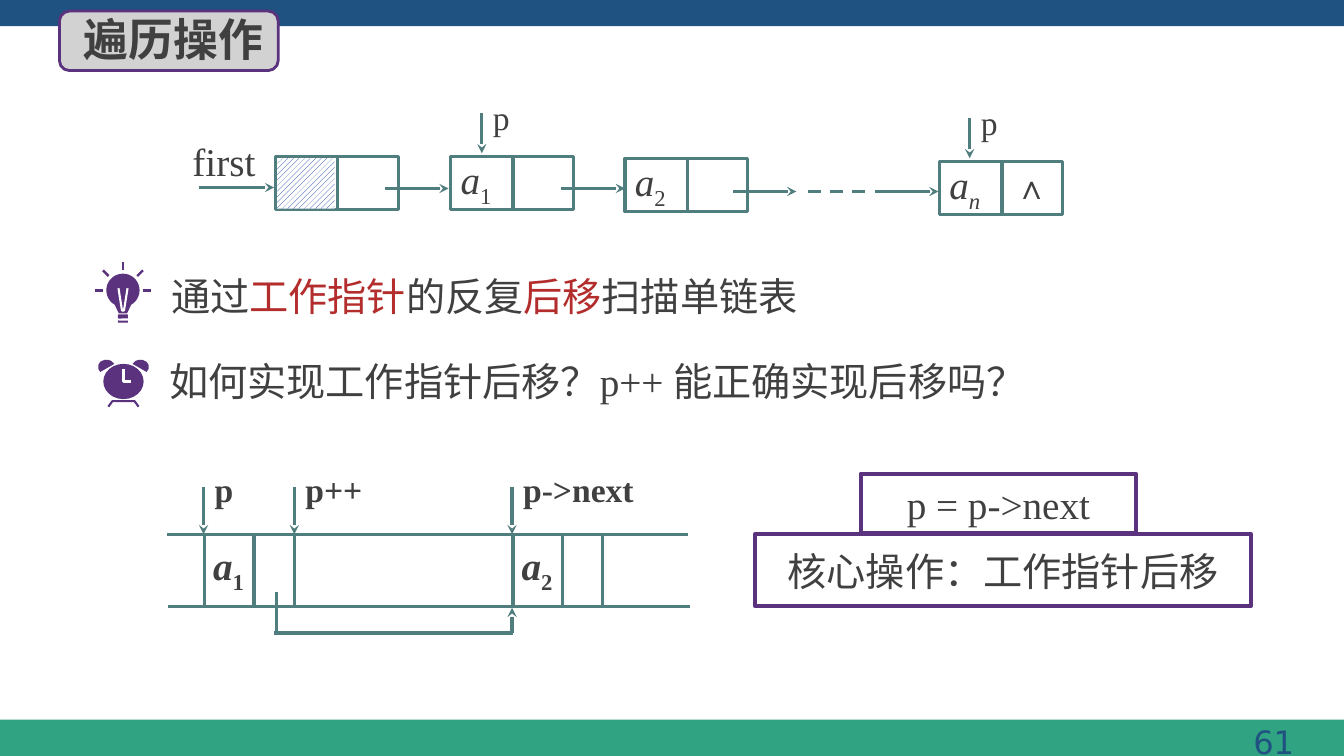
import math
import lxml.etree
import pptx
import pptx.util
import pptx.dml.color
import pptx.enum.dml
import pptx.enum.shapes
import pptx.enum.text
import pptx.oxml.ns

COLORS = {
    "header": "1F5281", "footer": "30A383", "ink": "404040", "teal": "507D7D",
    "purple": "5A327D", "badge": "D2D2D2", "red": "B42D2D", "hatch": "003399",
    "white": "FFFFFF",
}
LATIN, CJK, DIGITS = "Times New Roman", "Noto Sans CJK SC", "DejaVu Sans"
UNIT = pptx.util.Inches(0.1)
COLS, ROWS = 133.33, 75
NODE_W, NODE_H, SPLIT = 12.2, 5.3, 6.2
SHAPE = pptx.enum.shapes.MSO_SHAPE
ALIGN = pptx.enum.text.PP_ALIGN
ANCHOR = pptx.enum.text.MSO_ANCHOR
ITALIC, SUB = {"italic": True}, {"sub": True}


def grid(*cells):
    return [round(cell * UNIT) for cell in cells]


def rgb(name):
    return pptx.dml.color.RGBColor.from_string(COLORS[name])


def paint(shape, fill=None, line=None, width=2.25):
    shape.shadow.inherit = False
    if fill:
        shape.fill.solid()
        shape.fill.fore_color.rgb = rgb(fill)
    else:
        shape.fill.background()
    if line:
        shape.line.color.rgb = rgb(line)
        shape.line.width = pptx.util.Pt(width)
    else:
        shape.line.fill.background()
    return shape


def add_block(slide, cells, kind=SHAPE.RECTANGLE, **look):
    return paint(slide.shapes.add_shape(kind, *grid(*cells)), **look)


def add_outline(slide, points, close=True, **look):
    start, *rest = [grid(*point) for point in points]
    builder = slide.shapes.build_freeform(*start)
    builder.add_line_segments(rest, close=close)
    return paint(builder.convert_to_shape(), **look)


def add_line(slide, x1, y1, x2, y2, color="teal", width=2.25, arrow=False, dash=False):
    line = slide.shapes.add_connector(
        pptx.enum.shapes.MSO_CONNECTOR.STRAIGHT, *grid(x1, y1, x2, y2))
    line.line.color.rgb = rgb(color)
    line.line.width = pptx.util.Pt(width)
    if dash:
        line.line.dash_style = pptx.enum.dml.MSO_LINE.DASH
    if arrow:
        tail = lxml.etree.SubElement(line.line._get_or_add_ln(), pptx.oxml.ns.qn("a:tailEnd"))
        tail.set("type", "stealth")
    lxml.etree.SubElement(line._element.spPr, pptx.oxml.ns.qn("a:effectLst"))


def write(shape, runs, size=28, font=LATIN, color="ink", bold=False, align=ALIGN.LEFT,
          anchor=ANCHOR.TOP, insets=(1, 0.5, 1, 0.5), spacing=None):
    frame = shape.text_frame
    frame.word_wrap = True
    frame.vertical_anchor = anchor
    (frame.margin_left, frame.margin_top,
     frame.margin_right, frame.margin_bottom) = grid(*insets)
    paragraph = frame.paragraphs[0]
    paragraph.alignment = align
    if spacing:
        paragraph.line_spacing = spacing
    paragraph.font.name = font
    paragraph.font.size = pptx.util.Pt(size)
    paragraph.font.bold = bold
    paragraph.font.color.rgb = rgb(color)
    east_asian = lxml.etree.SubElement(paragraph.font._element, pptx.oxml.ns.qn("a:ea"))
    east_asian.set("typeface", CJK)
    for text, style in runs:
        run = paragraph.add_run()
        run.text = text
        if "italic" in style:
            run.font.italic = True
        if "color" in style:
            run.font.color.rgb = rgb(style["color"])
        if "sub" in style:
            run.font._element.set("baseline", "-25000")


def add_text(slide, cells, runs, **style):
    write(slide.shapes.add_textbox(*grid(*cells)), runs, **style)


def add_pointer(slide, x, top, length, label, label_top, label_width, bold=False):
    add_line(slide, x, top, x, top + length, arrow=True)
    add_text(slide, (x + 1.1, label_top, label_width, 4), [(label, {})],
             size=24, bold=bold, insets=(0, 0, 0, 0))


def add_node(slide, left, top, runs=()):
    node = add_block(slide, (left, top, NODE_W, NODE_H), line="teal")
    add_line(slide, left + SPLIT, top, left + SPLIT, top + NODE_H - 0.2)
    if runs:
        write(node, runs, insets=(1, 0, 0, 0.8), spacing=0.9)


def add_linked_list(slide):
    add_line(slide, 19.7, 18.6, 27.2, 18.6, arrow=True)
    add_text(slide, (19.1, 13.6, 8.3, 5.1), [("first", {})], insets=(0, 0, 0, 0.4))
    add_node(slide, 27.3, 15.5)
    hatch = add_block(slide, (27.5, 15.7, 5.7, 5))
    hatch.fill.patterned()
    hatch.fill.pattern = pptx.enum.dml.MSO_PATTERN.WIDE_UPWARD_DIAGONAL
    hatch.fill.fore_color.rgb = rgb("hatch")
    hatch.fill.back_color.rgb = rgb("white")
    for left, top, index, style in ((44.7, 15.5, "1", SUB), (62, 15.7, "2", SUB),
                                    (93.2, 16, "n", ITALIC | SUB)):
        add_node(slide, left, top, [("a", ITALIC), (index, style)])
    add_text(slide, (99.7, 16, 5.7, 4.9), [("∧", {})], size=24, insets=(1, 0.5, 1, 0.4))
    for tip, y in ((44.5, 18.7), (62, 18.7), (79, 19), (93.1, 19)):
        add_line(slide, tip - 6.3, y, tip, y, arrow=True)
    add_line(slide, 80.2, 19, 86.4, 19, dash=True)
    add_pointer(slide, 47.8, 11.2, 4, "p", 9.6, 2.7)
    add_pointer(slide, 96.2, 11.7, 4, "p", 10.1, 2.7)


def add_memory_strip(slide):
    top, bottom = 53, 60.2
    add_line(slide, 16.6, top, 68.3, top)
    add_line(slide, 16.7, bottom, 68.5, bottom)
    for left, index in ((20.3, "1"), (50.9, "2")):
        for offset in (0, 4.9, 8.9):
            add_line(slide, left + offset, top, left + offset, bottom)
        add_text(slide, (left + 0.85, 53.7, 5, 5.7), [("a", ITALIC), (index, SUB)],
                 bold=True, insets=(0, 0, 0, 0))
    add_line(slide, 27.4, 58.7, 27.4, 62.8)
    add_line(slide, 27.2, 62.8, 50.9, 62.8)
    add_line(slide, 50.8, 62.8, 50.8, 60.3, arrow=True)
    for x, label, width in ((20.2, "p", 2.7), (29.2, "p++", 6.6), (50.8, "p->next", 11.6)):
        add_pointer(slide, x, 48.3, 4.7, label, 46.5, width, bold=True)


def add_bulb(slide):
    x, y, radius = 12.2, 28.8, 1.65
    rim = [(x + radius * math.cos(math.radians(angle)), y + radius * math.sin(math.radians(angle)))
           for angle in range(120, 421, 10)]
    add_outline(slide, rim + [(x + 0.4, 31.1), (x - 0.4, 31.1)], fill="purple")
    add_outline(slide, [(x - 0.45, 28.6), (x - 0.1, 30.8), (x + 0.1, 30.8), (x + 0.45, 28.6)],
                close=False, line="white", width=1.5)
    for top, height in ((31.2, 0.4), (31.8, 0.2)):
        add_block(slide, (x - 0.5, top, 1, height), SHAPE.ROUNDED_RECTANGLE, fill="purple")
    for angle in range(180, 361, 45):
        dx, dy = math.cos(math.radians(angle)), math.sin(math.radians(angle))
        add_line(slide, x + 2 * dx, y + 2 * dy, x + 2.8 * dx, y + 2.8 * dy, "purple", 1.75)


def add_clock(slide):
    x = 12.25
    bell = [(2.3, 36.9), (2.5, 36.6), (2.5, 36.2), (2.3, 35.9), (1.9, 35.7),
            (1.5, 35.7), (1.2, 35.8), (0.9, 36.1)]
    for side in (-1, 1):
        add_outline(slide, [(x + side * dx, y) for dx, y in bell], fill="purple")
    add_block(slide, (x - 2, 36.1, 4, 3.5), SHAPE.OVAL, fill="purple")
    add_outline(slide, [(x, 36.6), (x, 37.85), (x + 0.75, 37.85)],
                close=False, line="white", width=2.25)
    add_outline(slide, [(x - 1.5, 40.35), (x - 1.1, 39.8), (x + 1.1, 39.8), (x + 1.5, 40.35)],
                close=False, line="purple", width=1.5)


def add_title(slide):
    title = slide.shapes.title
    title.left, title.top, title.width, title.height = grid(7.3, 0.7, 20.5, 6.4)
    write(title, [("遍历操作", {})], size=32, font=CJK, bold=True)
    badge = add_block(slide, (5.9, 1.1, 21.7, 5.9), SHAPE.ROUNDED_RECTANGLE,
                      fill="badge", line="purple", width=2)
    title._element.addprevious(badge._element)


def main():
    deck = pptx.Presentation()
    deck.slide_width, deck.slide_height = grid(COLS, ROWS)
    slide = deck.slides.add_slide(deck.slide_layouts[5])
    header = add_block(slide, (0, 0, COLS, 2.6), fill="header")
    slide.shapes.title._element.addprevious(header._element)
    add_block(slide, (0, 71.4, COLS, 3.6), fill="footer")
    add_text(slide, (100.3, 71.1, 29.4, 5.2), [("61", {})], size=23, font=DIGITS,
             color="header", align=ALIGN.RIGHT, insets=(1.3, 0.6, 1.3, 0.6))
    add_title(slide)
    add_linked_list(slide)
    add_bulb(slide)
    add_text(slide, (16, 25.4, 71.8, 7.9),
             [("通过", {}), ("工作指针", {"color": "red"}), ("的反复", {}),
              ("后移", {"color": "red"}), ("扫描单链表", {})], anchor=ANCHOR.MIDDLE)
    add_clock(slide)
    add_text(slide, (15.8, 35, 89.5, 5.7),
             [("如何实现工作指针后移？p++ 能正确实现后移吗？", {})])
    add_memory_strip(slide)
    for cells, text, font, anchor in (
            ((74.9, 53, 49.2, 7.1), "核心操作：工作指针后移", CJK, ANCHOR.MIDDLE),
            ((85.4, 47, 27.3, 5.9), "p = p->next", LATIN, ANCHOR.TOP)):
        box = add_block(slide, cells, line="purple", width=3)
        write(box, [(text, {})], font=font, align=ALIGN.CENTER, anchor=anchor,
              spacing=pptx.util.Pt(35))
    deck.save("out.pptx")


if __name__ == "__main__":
    main()
